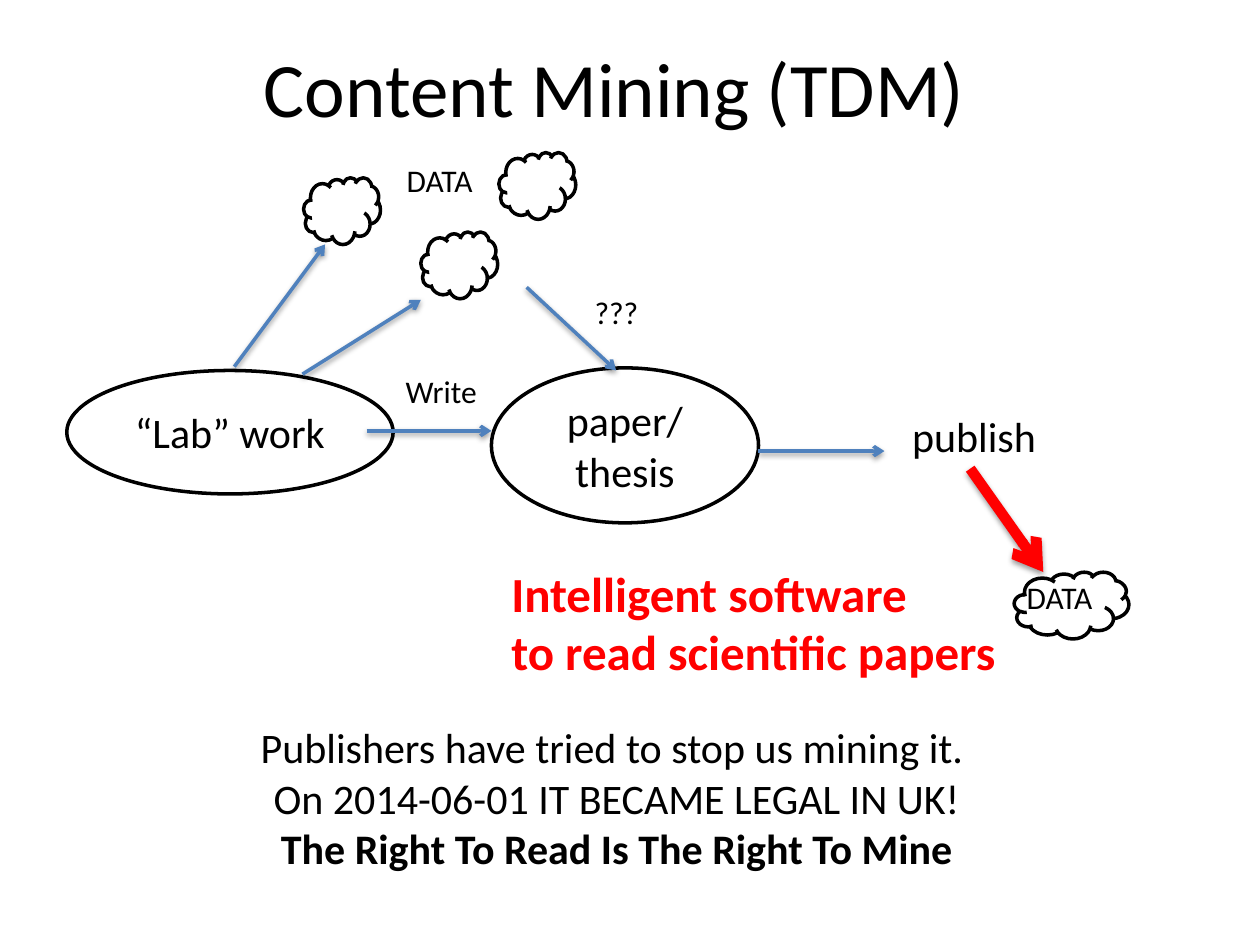
from lxml import etree
from pptx import Presentation
from pptx.dml.color import RGBColor
from pptx.enum.shapes import MSO_CONNECTOR, MSO_SHAPE
from pptx.enum.text import MSO_ANCHOR, MSO_AUTO_SIZE, PP_ALIGN
from pptx.oxml import parse_xml
from pptx.oxml.ns import nsdecls, qn
from pptx.util import Inches, Pt

BLACK = RGBColor(0, 0, 0)
WHITE = RGBColor(255, 255, 255)
RED = RGBColor(255, 0, 0)
BLUE = RGBColor(0x4F, 0x81, 0xBD)
STRAIGHT = MSO_CONNECTOR.STRAIGHT
ELLIPSE, CLOUD = MSO_SHAPE.OVAL, MSO_SHAPE.CLOUD
LEFT, CENTER = PP_ALIGN.LEFT, PP_ALIGN.CENTER
MIDDLE = MSO_ANCHOR.MIDDLE
FIT_SHAPE = MSO_AUTO_SIZE.SHAPE_TO_FIT_TEXT

COLUMNS, ROWS = 100, 75
CELL = Inches(0.1)
CLOUD_SIZE = (6.1, 5.3)

SHADOW = (
    f'<a:effectLst {nsdecls("a")}>'
    '<a:outerShdw blurRad="40000" dist="20000" dir="5400000" rotWithShape="0">'
    '<a:srgbClr val="000000"><a:alpha val="38000"/></a:srgbClr>'
    '</a:outerShdw></a:effectLst>'
)


def grid(*cells):
    return [round(cell * CELL) for cell in cells]


def write(shape, lines, size, color=BLACK, align=LEFT, bold_lines=()):
    frame = shape.text_frame
    for index, line in enumerate(lines):
        paragraph = frame.paragraphs[0] if index == 0 else frame.add_paragraph()
        paragraph.alignment = align
        run = paragraph.add_run()
        run.text = line
        run.font.color.rgb = color
        font_format = {"name": "Calibri", "size": Pt(size), "bold": index in bold_lines}
        for name, value in font_format.items():
            setattr(run.font, name, value)


def add_title(slide, text, box):
    title = slide.shapes.title
    for name, value in zip(("left", "top", "width", "height"), grid(*box)):
        setattr(title, name, value)
    title.text_frame.vertical_anchor = MIDDLE
    write(title, [text], 44, align=CENTER)


def add_outline(slide, kind, box, text=None):
    shape = slide.shapes.add_shape(kind, *grid(*box))
    shape.shadow.inherit = False
    shape.fill.solid()
    shape.fill.fore_color.rgb = WHITE
    shape.line.color.rgb = BLACK
    shape.line.width = Pt(2)
    if text:
        shape.text_frame.vertical_anchor = MIDDLE
        write(shape, [text], 24, align=CENTER)


def add_label(slide, box, lines, size, wrap=False, **style):
    label = slide.shapes.add_textbox(*grid(*box))
    label.text_frame.word_wrap = wrap
    label.text_frame.auto_size = FIT_SHAPE
    write(label, lines, size, **style)


def add_arrow(slide, start, end, color=BLUE, width=2):
    arrow = slide.shapes.add_connector(STRAIGHT, *grid(*start, *end))
    arrow.line.color.rgb = color
    arrow.line.width = Pt(width)
    etree.SubElement(arrow.line._get_or_add_ln(), qn("a:tailEnd"), type="arrow")
    arrow._element.spPr.append(parse_xml(SHADOW))


def main():
    presentation = Presentation()
    presentation.slide_width, presentation.slide_height = grid(COLUMNS, ROWS)
    slide = presentation.slides.add_slide(presentation.slide_layouts[5])

    add_title(slide, "Content Mining (TDM) ", (6, 1.9, 86.9, 9.9))

    add_outline(slide, ELLIPSE, (5.3, 29.4, 25.9, 9.8), "“Lab” work")
    add_outline(slide, ELLIPSE, (39, 29.2, 21.2, 12.3), "paper/thesis")
    for corner in ((24.1, 14.1), (33.4, 18.4), (39.6, 12.1)):
        add_outline(slide, CLOUD, corner + CLOUD_SIZE)
    add_outline(slide, CLOUD, (80.5, 45.4, 9.1, 5.3))

    for start, end in (
        ((29.1, 34.2), (39, 34.2)),
        ((60.2, 35.8), (70.2, 35.8)),
        ((18.6, 29.1), (25.8, 19.4)),
        ((41.8, 22.8), (48.9, 29.4)),
        ((24, 29.7), (33.4, 23.8)),
    ):
        add_arrow(slide, start, end)
    add_arrow(slide, (77, 37.2), (82.8, 45.4), RED, 6)

    for text, box in (
        ("Write", (31.2, 29, 7.8, 4)),
        ("???", (46.2, 22.8, 5.5, 4)),
        ("DATA", (31.3, 12.3, 7.7, 4)),
        ("DATA", (80.5, 45.4, 7.7, 4)),
    ):
        add_label(slide, box, [text], 18)
    add_label(slide, (71.4, 32.1, 17, 5), ["publish"], 24, wrap=True)
    add_label(
        slide, (39.6, 44.2, 41, 10.4),
        ["Intelligent software", "to read scientific papers"],
        28, color=RED, bold_lines=(0, 1),
    )
    add_label(
        slide, (16.1, 56.8, 65.7, 13.1),
        [
            "Publishers have tried to stop us mining it. ",
            "On 2014-06-01 IT BECAME LEGAL IN UK!",
            "The Right To Read Is The Right To Mine",
        ],
        24, wrap=True, align=CENTER, bold_lines=(2,),
    )
    presentation.save("out.pptx")


if __name__ == "__main__":
    main()
